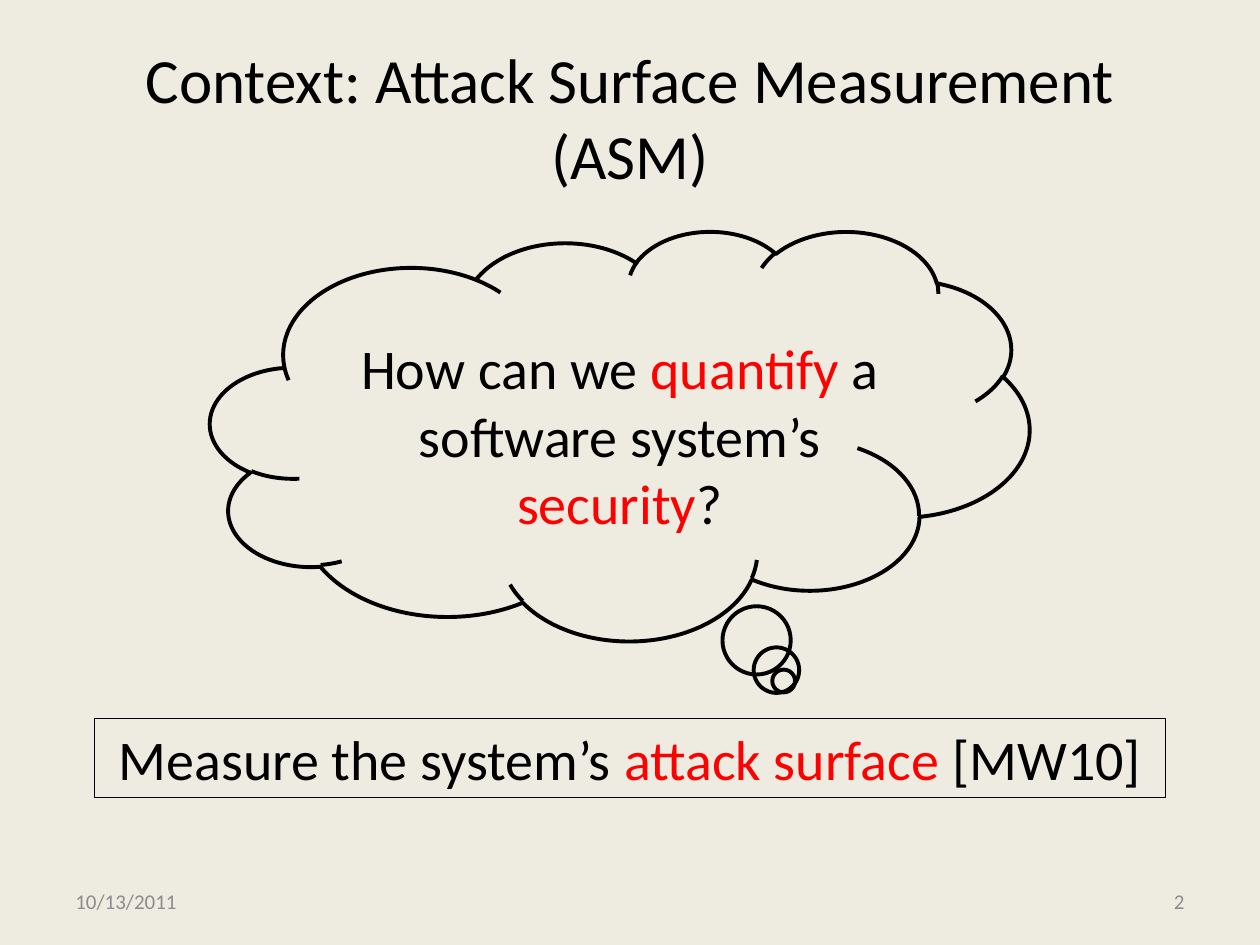
import pptx
import pptx.util
import pptx.dml.color
import pptx.enum.shapes
import pptx.enum.text
from dataclasses import dataclass

PX = 9144  # EMU in one px, 100 px to the inch
SHAPE = pptx.enum.shapes.MSO_SHAPE
ALIGN = pptx.enum.text.PP_ALIGN
ANCHOR = pptx.enum.text.MSO_ANCHOR


@dataclass(frozen=True)
class Theme:
    font: str = "Calibri"
    paper: str = "EEECE1"
    ink: str = "000000"
    accent: str = "FF0000"
    muted: str = "8C8C8C"
    title: int = 36
    body: int = 32
    small: int = 12


THEME = Theme()


def color(code):
    return pptx.dml.color.RGBColor.from_string(code)


def scale(box):
    return [n * PX for n in box]


def write(shape, parts, size, align=ALIGN.CENTER, anchor=ANCHOR.TOP):
    """Fill a shape with one paragraph of (text, color) parts."""
    frame = shape.text_frame
    frame.word_wrap = True
    frame.vertical_anchor = anchor
    para = frame.paragraphs[0]
    para.alignment = align
    for text, code in parts:
        run = para.add_run()
        run.text = text
        run.font.name = THEME.font
        run.font.size = pptx.util.Pt(size)
        run.font.color.rgb = color(code)


def add_text(slide, box, parts, size, **style):
    write(slide.shapes.add_textbox(*scale(box)), parts, size, **style)


def add_frame(slide, kind, box, width):
    """Draw an unfilled outline."""
    shape = slide.shapes.add_shape(kind, *scale(box))
    shape.shadow.inherit = False
    shape.fill.background()
    shape.line.color.rgb = color(THEME.ink)
    shape.line.width = pptx.util.Pt(width)
    return shape


def main():
    deck = pptx.Presentation()
    deck.slide_width, deck.slide_height = scale((1000, 750))
    slide = deck.slides.add_slide(deck.slide_layouts[6])
    slide.background.fill.solid()
    slide.background.fill.fore_color.rgb = color(THEME.paper)
    ink, accent = THEME.ink, THEME.accent

    # Title
    add_text(slide, (50, 30, 900, 125),
             [("Context: Attack Surface Measurement (ASM)", ink)],
             THEME.title, anchor=ANCHOR.MIDDLE)

    # Thought cloud
    cloud = add_frame(slide, SHAPE.CLOUD_CALLOUT, (167, 183, 650, 325), 2.25)
    cloud.adjustments[0] = 0.2
    cloud.adjustments[1] = 0.6

    # Answer
    answer = add_frame(slide, SHAPE.RECTANGLE, (75, 570, 850, 63), 0.75)
    write(answer, [("Measure the system’s ", ink),
                   ("attack surface ", accent),
                   ("[MW10]", ink)], THEME.body)

    # Question inside the cloud
    add_text(slide, (267, 260, 450, 202),
             [("How can we ", ink), ("quantify", accent),
              (" a software system’s ", ink), ("security", accent),
              ("?", ink)], THEME.body)

    # Footer
    for left, text, align in ((717, "2", ALIGN.RIGHT),
                              (50, "10/13/2011", ALIGN.LEFT)):
        add_text(slide, (left, 695, 233, 40), [(text, THEME.muted)],
                 THEME.small, align=align, anchor=ANCHOR.MIDDLE)

    deck.save("out.pptx")


if __name__ == "__main__":
    main()
